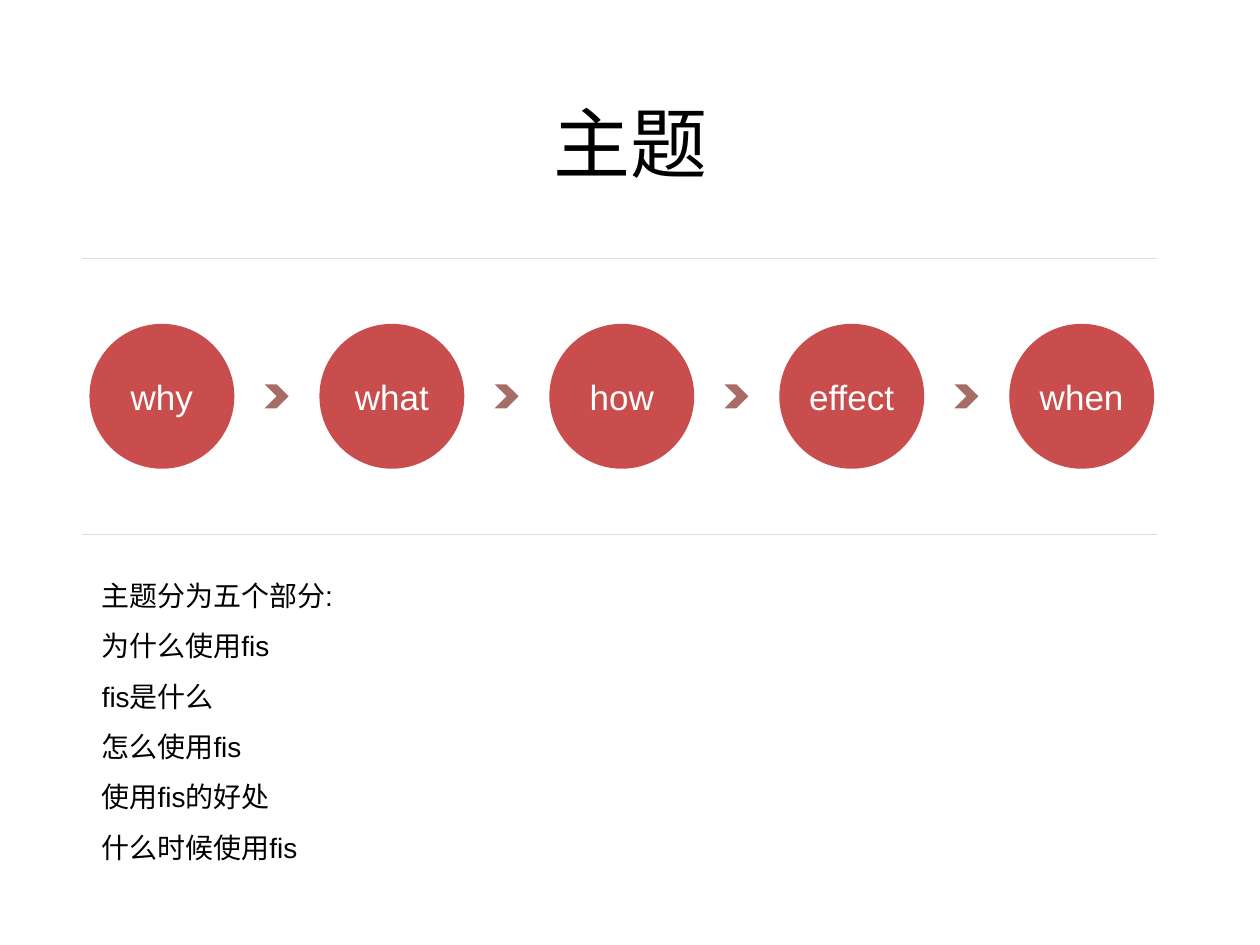
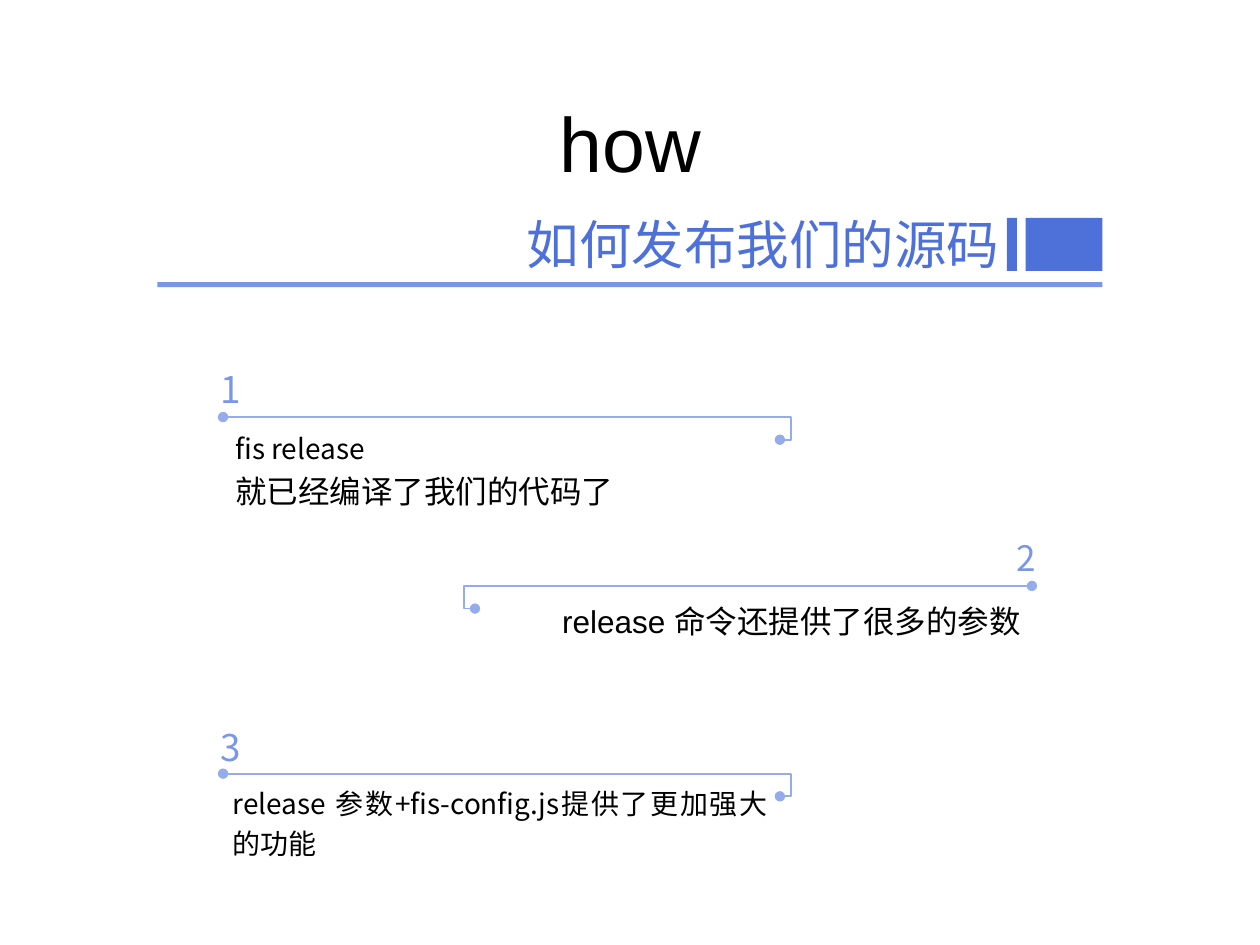
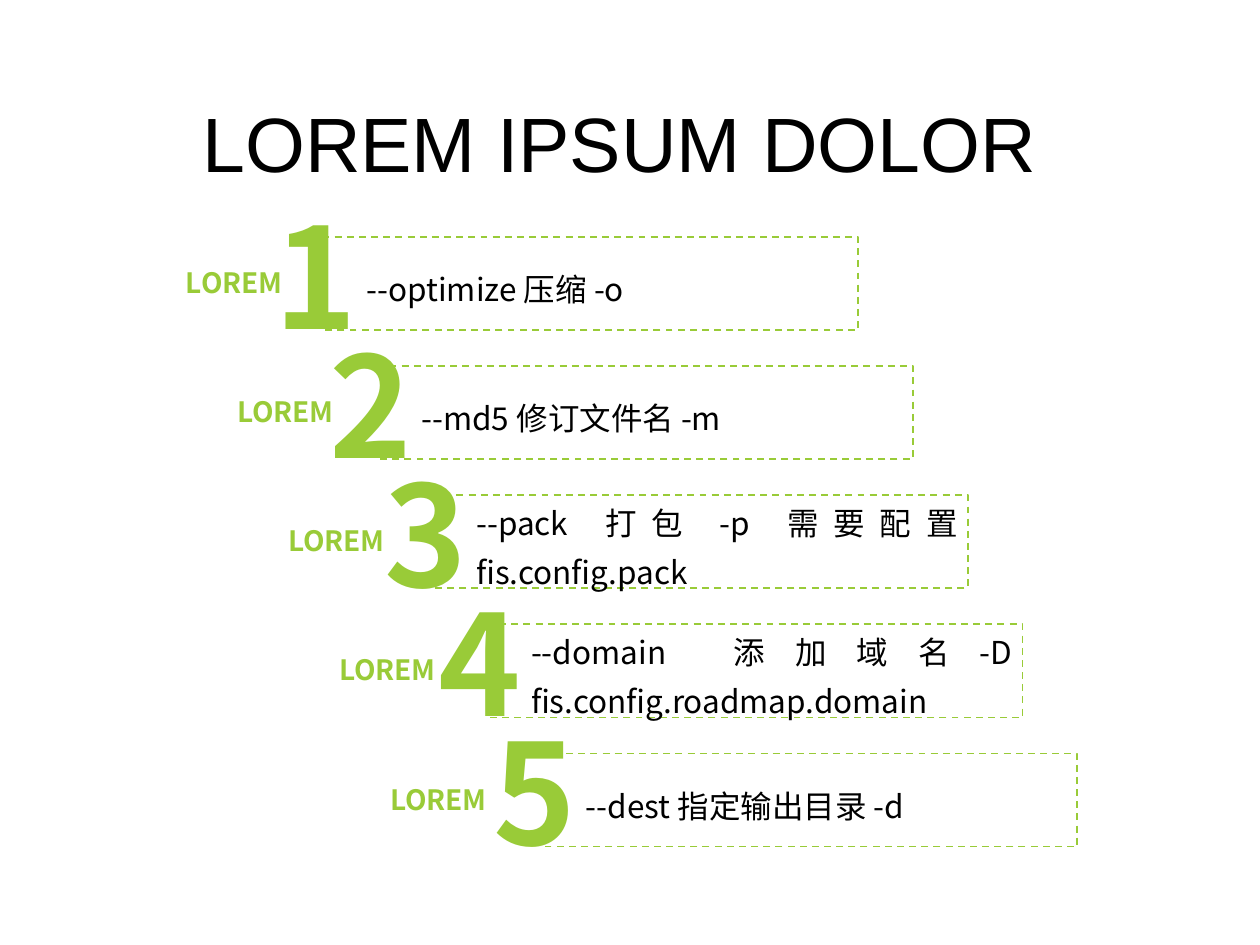
from lxml import etree
from pptx import Presentation
from pptx import util as u
from pptx.dml.color import RGBColor
from pptx.enum import dml, shapes, text
from pptx.oxml.ns import qn

WIDTH, HEIGHT = u.Inches(10), u.Inches(7.5)
COLUMNS, ROWS = 100, 75

BLACK = RGBColor(0x00, 0x00, 0x00)
WHITE = RGBColor(0xFF, 0xFF, 0xFF)
RULE_GREY = RGBColor(0xDD, 0xDD, 0xDD)
RED = RGBColor(0xC9, 0x4D, 0x4D)
CHEVRON_RED = RGBColor(0xA6, 0x6C, 0x65)
BLUE = RGBColor(0x4E, 0x70, 0xD9)
SOFT_BLUE = RGBColor(0x7A, 0x97, 0xE7)
PALE_BLUE = RGBColor(0x94, 0xAB, 0xEC)
GREEN = RGBColor(0x99, 0xCB, 0x38)

LATIN = "Arial"
HAN = "Noto Sans CJK SC"
HEAVY_HAN = "Noto Sans CJK JP"

LEFT, CENTER = text.PP_ALIGN.LEFT, text.PP_ALIGN.CENTER
RIGHT, JUSTIFY = text.PP_ALIGN.RIGHT, text.PP_ALIGN.JUSTIFY
TOP, MIDDLE, BOTTOM = text.MSO_ANCHOR.TOP, text.MSO_ANCHOR.MIDDLE, text.MSO_ANCHOR.BOTTOM
INSETS = (1, 0.5, 1, 0.5)
NO_INSETS = (0, 0, 0, 0)


def col(count):
    """Turn grid columns into a length."""
    return u.Emu(round(WIDTH * count / COLUMNS))


def row(count):
    """Turn grid rows into a length."""
    return u.Emu(round(HEIGHT * count / ROWS))


def place(left, top, width, height):
    """Turn a grid area into position and size."""
    return col(left), row(top), col(width), row(height)


def write(box, content, size=18, font=LATIN, color=BLACK, bold=False, align=LEFT,
          anchor=TOP, spacing=1.0, insets=INSETS):
    """Append one paragraph to a box."""
    frame = box.text_frame
    frame.word_wrap = True
    frame.vertical_anchor = anchor
    frame.margin_left, frame.margin_right = col(insets[0]), col(insets[2])
    frame.margin_top, frame.margin_bottom = row(insets[1]), row(insets[3])
    para = frame.add_paragraph() if frame.text else frame.paragraphs[0]
    para.alignment = align
    para.line_spacing = spacing
    span = para.add_run()
    span.text = content
    span.font.size = u.Pt(size)
    span.font.name = font
    span.font.bold = bold
    span.font.color.rgb = color
    east_asian = etree.SubElement(span.font._element, qn("a:ea"))
    east_asian.set("typeface", HAN if font == LATIN else font)


def add_text(page, area, content, **style):
    """Add a text box with one paragraph."""
    box = page.shapes.add_textbox(*place(*area))
    write(box, content, **style)
    return box


def add_title(page, content):
    """Add the slide title."""
    add_text(page, (6.9, 4, 86.3, 14.5), content, size=44, align=CENTER, anchor=MIDDLE)


def add_solid(page, kind, area, color):
    """Add a filled preset shape without outline."""
    shape = page.shapes.add_shape(kind, *place(*area))
    shape.shadow.inherit = False
    shape.fill.solid()
    shape.fill.fore_color.rgb = color
    shape.line.fill.background()
    return shape


def add_rule(page, top):
    """Add a thin horizontal rule."""
    rule = page.shapes.add_connector(
        shapes.MSO_CONNECTOR.STRAIGHT, col(6.5), row(top), col(91.8), row(top))
    rule.line.color.rgb = RULE_GREY
    rule.line.width = u.Pt(0.5)
    etree.SubElement(rule._element.spPr, qn("a:effectLst"))


def add_outline(page, points, color):
    """Add an open, unfilled line through grid points."""
    corners = [(col(x), row(y)) for x, y in points]
    builder = page.shapes.build_freeform(*corners[0])
    builder.add_line_segments(corners[1:], close=False)
    outline = builder.convert_to_shape()
    outline.shadow.inherit = False
    outline.fill.background()
    outline.line.color.rgb = color
    outline.line.width = u.Pt(1)
    return outline


def add_bracket(page, start, end, top):
    """Add a hooked line with a dot at both ends."""
    hook = end + (0.9 if end < start else -0.9)
    drop = top + 1.8
    bracket = add_outline(page, [(start, top), (end, top), (end, drop), (hook, drop)], PALE_BLUE)
    for tag in ("a:headEnd", "a:tailEnd"):
        etree.SubElement(bracket.line._get_or_add_ln(), qn(tag), type="oval")


def add_option(page, index, content):
    """Add one numbered, dashed option of the staircase."""
    shift, top = 4.35 * index, 18.8 + 10.25 * index
    left, right, bottom = 25.6 + shift, 68.1 + shift, top + 7.4
    frame = add_outline(page, [(left, top), (right, top), (right, bottom), (left, bottom)], GREEN)
    frame.line.dash_style = dml.MSO_LINE.DASH
    write(frame, content, font=HAN, align=JUSTIFY, anchor=MIDDLE, spacing=1.3,
          insets=(3.5, 0.8, 0.8, 0.8))
    add_text(page, (13.3 + 4.05 * index, top, 10.6, 7.2), "LOREM", size=16, font=HAN,
             color=GREEN, bold=True, align=CENTER, anchor=MIDDLE, insets=NO_INSETS)
    add_text(page, (20.8 + shift, top - 6.3, 8.1, 18.4), str(index + 1), size=80,
             font=HEAVY_HAN, color=GREEN, bold=True, align=CENTER, anchor=MIDDLE)


def build_topics(page):
    """Build the overview of the five parts."""
    add_title(page, "主题")
    for top in (20.5, 42.4):
        add_rule(page, top)
    topics = ("why", "what", "how", "effect", "when")
    for index, topic in enumerate(topics):
        shift = 18.25 * index
        circle = add_solid(page, shapes.MSO_SHAPE.OVAL, (7.1 + shift, 25.7, 11.5, 11.5), RED)
        write(circle, topic, size=20, color=WHITE, align=CENTER, anchor=MIDDLE, insets=NO_INSETS)
        if index < len(topics) - 1:
            add_solid(page, shapes.MSO_SHAPE.CHEVRON, (21 + shift, 30.5, 1.9, 1.9), CHEVRON_RED)
    summary = page.shapes.add_textbox(*place(7.1, 44.1, 84.6, 24.6))
    for line in ("主题分为五个部分:", "为什么使用fis", "fis是什么", "怎么使用fis",
                 "使用fis的好处", "什么时候使用fis"):
        write(summary, line, size=16, spacing=1.5)


def build_release(page):
    """Build the three release steps."""
    add_title(page, "how")
    for area, color in (((12.5, 22.4, 75, 0.4), SOFT_BLUE), ((81.4, 17.3, 6.1, 4.2), BLUE),
                        ((79.9, 17.3, 0.8, 4.2), BLUE)):
        add_solid(page, shapes.MSO_SHAPE.RECTANGLE, area, color)
    add_text(page, (12.5, 16.3, 67.8, 6.1), "如何发布我们的源码", size=30, font=HEAVY_HAN,
             color=BLUE, align=RIGHT)

    number = dict(font=HAN, color=SOFT_BLUE, anchor=BOTTOM)
    add_text(page, (16.5, 28.6, 24.1, 4.5), "1", size=21, **number)
    add_text(page, (58.8, 41.9, 24.4, 4.5), "2", size=20, align=RIGHT, spacing=0.8, **number)
    add_text(page, (16.5, 56.9, 29.4, 4.6), "3", size=21, **number)
    for start, end, top in ((17.7, 62.8, 33.1), (81.9, 36.8, 46.5), (17.7, 62.8, 61.4)):
        add_bracket(page, start, end, top)

    compiled = add_text(page, (17.7, 33.2, 44.4, 10.2), "fis release", size=16, font=HAN,
                        align=JUSTIFY, spacing=1.2)
    write(compiled, "就已经编译了我们的代码了", align=JUSTIFY, spacing=1.2)
    add_text(page, (37.6, 46.7, 44.4, 9.8), "release 命令还提供了很多的参数",
             align=RIGHT, spacing=1.2)
    add_text(page, (17.5, 61.4, 44.4, 9.8), "release 参数+fis-config.js提供了更加强大的功能",
             size=16, font=HAN, align=JUSTIFY, spacing=1.2)


def build_options(page):
    """Build the staircase of command options."""
    options = ("--optimize 压缩 -o", "--md5 修订文件名 -m",
               "--pack 打包 -p 需要配置fis.config.pack",
               "--domain 添加域名-D fis.config.roadmap.domain",
               "--dest 指定输出目录 -d")
    for index, option in enumerate(options):
        add_option(page, index, option)
    add_title(page, "LOREM IPSUM DOLOR ")


def main():
    """Build and save the deck."""
    deck = Presentation()
    deck.slide_width, deck.slide_height = WIDTH, HEIGHT
    for build in (build_topics, build_release, build_options):
        build(deck.slides.add_slide(deck.slide_layouts[6]))
    deck.save("out.pptx")


if __name__ == "__main__":
    main()
